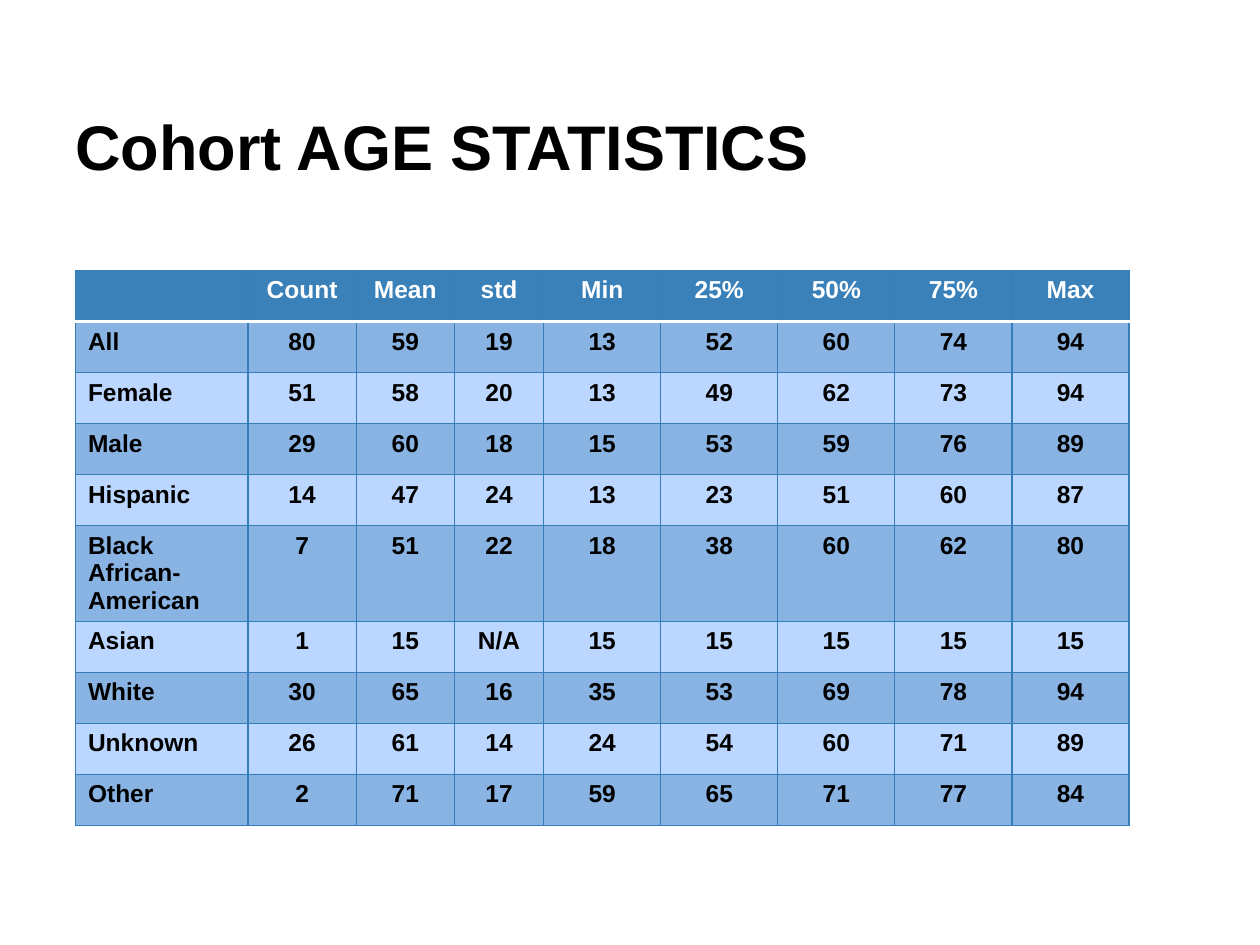
"""Build the cohort age statistics slide."""
from lxml.etree import SubElement
from pptx import Presentation
from pptx.dml.color import RGBColor
from pptx.enum.text import MSO_ANCHOR, MSO_AUTO_SIZE, PP_ALIGN
from pptx.oxml.ns import qn
from pptx.util import Cm, Pt

BLACK = RGBColor(0x00, 0x00, 0x00)
WHITE = RGBColor(0xFF, 0xFF, 0xFF)
HEAD = RGBColor(0x3A, 0x81, 0xBA)
EDGE = RGBColor(0x36, 0x7E, 0xB9)
DARK = RGBColor(0x88, 0xB3, 0xE3)
LIGHT = RGBColor(0xBB, 0xD7, 0xFF)

WIDTHS = [3.48, 2.18, 1.98, 1.8] + [2.36] * 5
HEAD_HIGH, ROW_HIGH, TALL_HIGH = 0.81, 1.03, 1.92
ROWS = [
    ["", "Count", "Mean", "std", "Min", "25%", "50%", "75%", "Max"],
    ["All", "80", "59", "19", "13", "52", "60", "74", "94"],
    ["Female", "51", "58", "20", "13", "49", "62", "73", "94"],
    ["Male", "29", "60", "18", "15", "53", "59", "76", "89"],
    ["Hispanic", "14", "47", "24", "13", "23", "51", "60", "87"],
    ["Black\nAfrican-American", "7", "51", "22", "18", "38", "60", "62", "80"],
    ["Asian", "1", "15", "N/A", "15", "15", "15", "15", "15"],
    ["White", "30", "65", "16", "35", "53", "69", "78", "94"],
    ["Unknown", "26", "61", "14", "24", "54", "60", "71", "89"],
    ["Other", "2", "71", "17", "59", "65", "71", "77", "84"],
]


class Deck:
    def __init__(self, font):
        self.font = font
        self.show = Presentation()
        self.show.slide_width, self.show.slide_height = Cm(25.4), Cm(19.05)
        self.slide = self.show.slides.add_slide(self.show.slide_layouts[5])

    def label(self, para, text, size, color, align):
        para.text = text
        para.alignment = align
        for run in para.runs:
            run.font.name = self.font
            run.font.size = Pt(size)
            run.font.bold = True
            run.font.color.rgb = color
        for gap in para._p.iter(qn("a:br")):
            SubElement(gap, qn("a:rPr"), sz=str(size * 100), b="1")

    def title(self, text, left, top, width, height):
        box = self.slide.shapes.title
        box.left, box.top = Cm(left), Cm(top)
        box.width, box.height = Cm(width), Cm(height)
        frame = box.text_frame
        frame.auto_size = MSO_AUTO_SIZE.NONE
        frame.vertical_anchor = MSO_ANCHOR.BOTTOM
        frame.margin_left = frame.margin_right = Cm(0.25)
        frame.margin_top = frame.margin_bottom = Cm(0.25)
        self.label(frame.paragraphs[0], text, 36, BLACK, PP_ALIGN.LEFT)

    def border(self, cell, side, color, width):
        line = SubElement(cell._tc.get_or_add_tcPr(), qn(f"a:ln{side}"), w=str(Pt(width)))
        fill = SubElement(line, qn("a:solidFill"))
        SubElement(fill, qn("a:srgbClr"), val=str(color))

    def cell(self, cell, text, row, col):
        ink = BLACK if row else WHITE
        align = PP_ALIGN.CENTER if col else PP_ALIGN.LEFT
        self.label(cell.text_frame.paragraphs[0], text, 14, ink, align)
        rule = {("T", 1): (WHITE, 2), ("B", 0): (WHITE, 2)}
        for side in "LRTB":
            self.border(cell, side, *rule.get((side, row), (EDGE, 0.75)))
        cell.fill.solid()
        cell.fill.fore_color.rgb = (DARK if row % 2 else LIGHT) if row else HEAD

    def table(self, rows, left, top, widths, heights):
        grid = self.slide.shapes.add_table(
            len(rows), len(widths), Cm(left), Cm(top), Cm(sum(widths)), Cm(sum(heights))
        ).table
        for column, width in zip(grid.columns, widths):
            column.width = Cm(width)
        for row, (texts, height) in enumerate(zip(rows, heights)):
            grid.rows[row].height = Cm(height)
            for col, text in enumerate(texts):
                self.cell(grid.cell(row, col), text, row, col)


def main():
    deck = Deck("Arial")
    deck.title("Cohort AGE STATISTICS", 1.27, 0.76, 22.86, 3.18)
    heights = [HEAD_HIGH] + [TALL_HIGH if "\n" in row[0] else ROW_HIGH for row in ROWS[1:]]
    deck.table(ROWS, 1.52, 5.45, WIDTHS, heights)
    deck.show.save("out.pptx")


if __name__ == "__main__":
    main()
